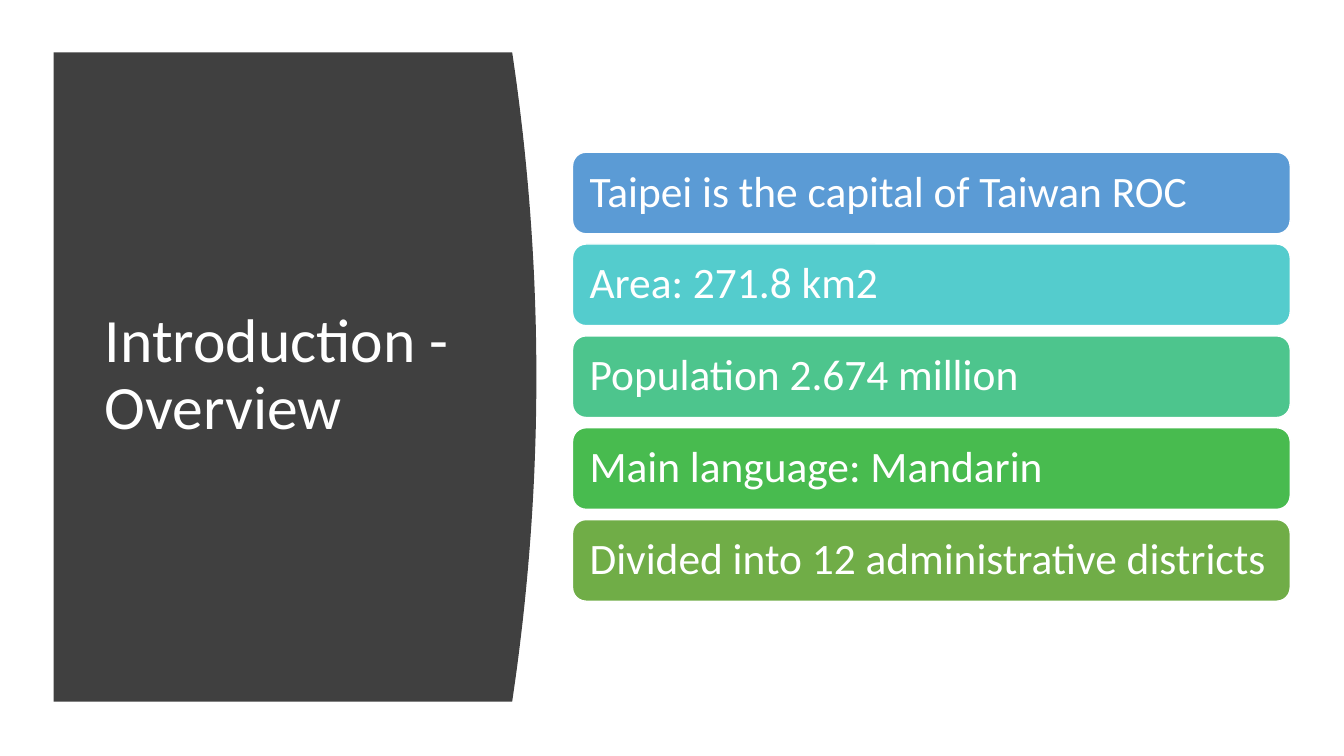
from pptx import Presentation
from pptx.dml.color import RGBColor
from pptx.enum.shapes import MSO_SHAPE
from pptx.enum.text import MSO_ANCHOR, MSO_AUTO_SIZE, PP_ALIGN
from pptx.util import Inches, Pt

ROUNDED = MSO_SHAPE.ROUNDED_RECTANGLE
MIDDLE = MSO_ANCHOR.MIDDLE
LEFT = PP_ALIGN.LEFT
NO_FIT = MSO_AUTO_SIZE.NONE
TITLE_ONLY = 5

WHITE = RGBColor(0xFF, 0xFF, 0xFF)
CHARCOAL = RGBColor(0x40, 0x40, 0x40)
BLUE = RGBColor(0x5B, 0x9B, 0xD5)
TURQUOISE = RGBColor(0x54, 0xCC, 0xCD)
MINT = RGBColor(0x4D, 0xC5, 0x8D)
GREEN = RGBColor(0x48, 0xBB, 0x4F)
OLIVE = RGBColor(0x70, 0xAD, 0x47)

FACTS = [
    ("Taipei is the capital of Taiwan ROC", BLUE),
    ("Area: 271.8 km2", TURQUOISE),
    ("Population 2.674 million", MINT),
    ("Main language: Mandarin", GREEN),
    ("Divided into 12 administrative districts", OLIVE),
]


class Deck:
    """Style and current slide; all lengths are percent of the slide's size."""

    font = {"name": "Calibri", "bold": False}
    frame = {"word_wrap": True, "auto_size": NO_FIT, "vertical_anchor": MIDDLE}
    paragraph = {"alignment": LEFT, "line_spacing": 0.9}

    def __init__(self, prs):
        self.prs = prs
        self.s = prs.slides.add_slide(prs.slide_layouts[TITLE_ONLY])

    def x(self, share):
        return round(self.prs.slide_width * share / 100)

    def y(self, share):
        return round(self.prs.slide_height * share / 100)

    def box(self, left, top, width, height):
        return self.x(left), self.y(top), self.x(width), self.y(height)

    def set_text(self, sp, text, size, inset):
        tf = sp.text_frame
        p = tf.paragraphs[0]
        r = p.add_run()
        r.text = text
        r.font.color.rgb = WHITE
        margins = dict.fromkeys(
            ("margin_left", "margin_top", "margin_right", "margin_bottom"), Inches(inset))
        formats = [(tf, {**self.frame, **margins}), (p, self.paragraph),
                   (r.font, {**self.font, "size": Pt(size)})]
        for target, values in formats:
            for name, value in values.items():
                setattr(target, name, value)

    def title(self, text, *box):
        sp = self.s.shapes.title
        sp.left, sp.top, sp.width, sp.height = self.box(*box)
        self.set_text(sp, text, 44, 0.1)

    def curved_panel(self, left, top, width, height, bulge, steps=40):
        """Panel whose right edge bows outward as a parabola."""
        edge = left + width - bulge
        curve = []
        for i in range(steps + 1):
            t = i / steps
            curve.append((self.x(edge + 4 * bulge * t * (1 - t)),
                          self.y(top + height * t)))
        builder = self.s.shapes.build_freeform(self.x(left), self.y(top))
        builder.add_line_segments(curve + [(self.x(left), self.y(top + height))])
        sp = builder.convert_to_shape()
        sp.shadow.inherit = False
        sp.fill.solid()
        sp.fill.fore_color.rgb = CHARCOAL
        sp.line.fill.background()
        # The title placeholder sits in front of the panel.
        self.s.shapes.title.element.addprevious(sp.element)

    def bar(self, text, color, *box):
        sp = self.s.shapes.add_shape(ROUNDED, *self.box(*box))
        sp.shadow.inherit = False
        sp.fill.solid()
        sp.fill.fore_color.rgb = color
        sp.line.color.rgb = WHITE
        sp.line.width = Pt(1)
        self.set_text(sp, text, 31, 0.13)


def main():
    prs = Presentation()
    prs.slide_width, prs.slide_height = Inches(13.33), Inches(7.5)
    deck = Deck(prs)
    deck.curved_panel(3.98, 6.93, 35.93, 85.87, bulge=1.8)
    deck.title("Introduction - Overview", 7.05, 14.8, 28.05, 69.87)
    for row, (text, color) in enumerate(FACTS):
        deck.bar(text, color, 42.6, 20.13 + 12.15 * row, 53.4, 10.8)
    prs.save("out.pptx")


if __name__ == "__main__":
    main()
